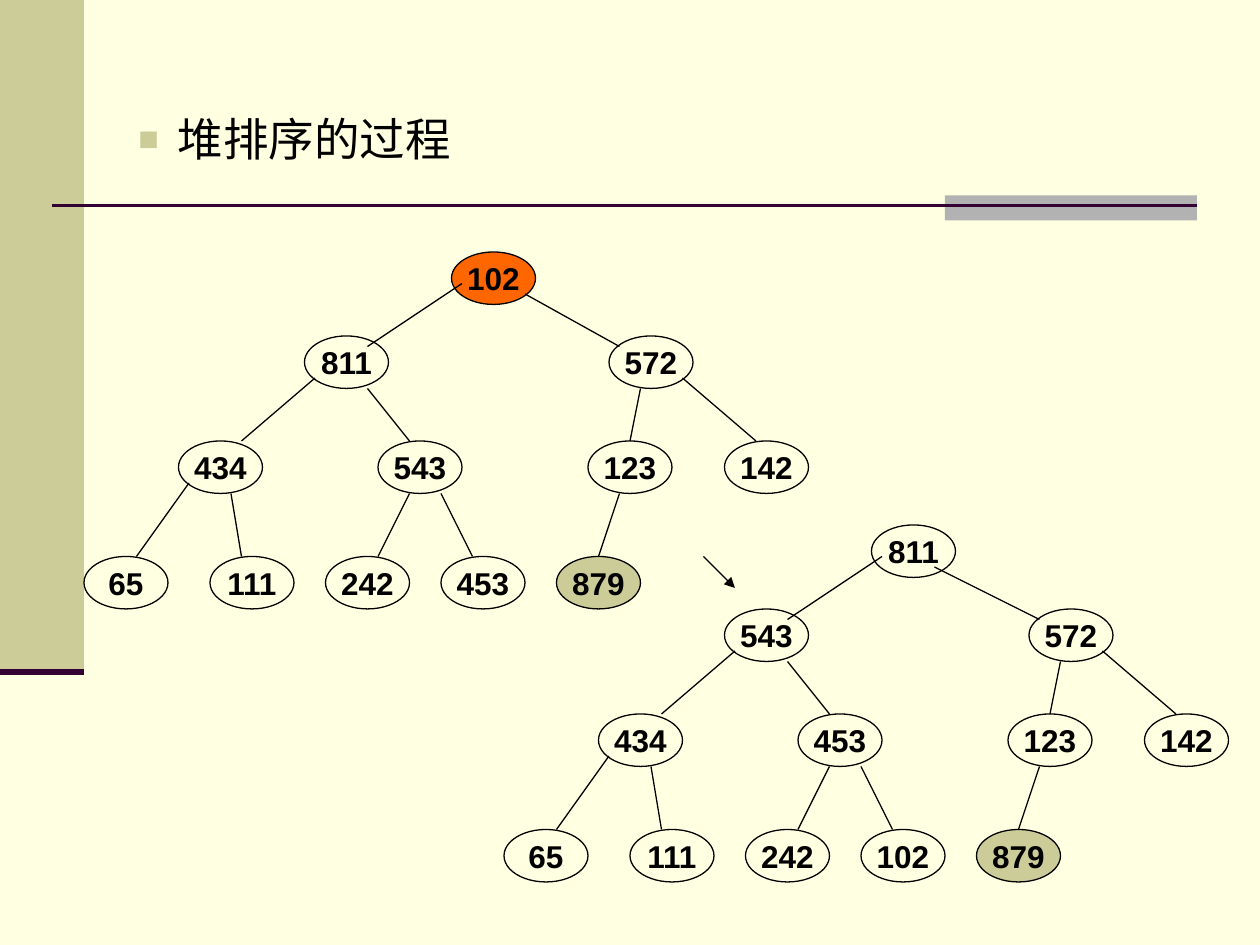
from dataclasses import dataclass

from lxml.etree import SubElement
from pptx import Presentation
from pptx.dml.color import RGBColor
from pptx.enum.shapes import MSO_CONNECTOR, MSO_SHAPE
from pptx.enum.text import MSO_ANCHOR, PP_ALIGN
from pptx.oxml.ns import qn
from pptx.util import Cm, Pt


@dataclass(frozen=True)
class Theme:
    background: str = "FFFFE1"
    olive: str = "CCCC99"
    grey: str = "B2B2B2"
    plum: str = "330033"
    orange: str = "FF6600"
    ink: str = "000000"
    font: str = "Arial"
    heading_size: float = 26
    node_size: float = 18
    thin: float = 0.75
    rule: float = 1.5
    thick: float = 3.5


def grid(steps):
    """Everything sits on a grid of twelve steps to 2.54 cm."""
    return Cm(steps * 2.54 / 12)


class SlideBuilder:
    def __init__(self, slide, theme):
        self.slide = slide
        self.theme = theme
        slide.background.fill.solid()
        slide.background.fill.fore_color.rgb = RGBColor.from_string(theme.background)

    def style_text(self, paragraph, size, bold=False):
        font = paragraph.runs[0].font
        font.name, font.size, font.bold = self.theme.font, Pt(size), bold
        font.color.rgb = RGBColor.from_string(self.theme.ink)

    def shape(self, kind, left, top, width, height, fill):
        shape = self.slide.shapes.add_shape(kind, *map(grid, (left, top, width, height)))
        shape.shadow.inherit = False
        shape.fill.solid()
        shape.fill.fore_color.rgb = RGBColor.from_string(fill)
        shape.line.fill.background()
        return shape

    def line(self, start, end, color=None, width=None, arrow=False):
        line = self.slide.shapes.add_connector(
            MSO_CONNECTOR.STRAIGHT, *map(grid, (*start, *end)))
        line.line.color.rgb = RGBColor.from_string(color or self.theme.ink)
        line.line.width = Pt(width or self.theme.thin)
        properties = line._element.spPr
        if arrow:
            SubElement(properties.find(qn("a:ln")), qn("a:tailEnd"), type="triangle")
        SubElement(properties, qn("a:effectLst"))

    def bullet_text(self, text, left, top, width, height):
        box = self.slide.shapes.add_textbox(*map(grid, (left, top, width, height)))
        box.text_frame.word_wrap = True
        paragraph = box.text_frame.paragraphs[0]
        paragraph.text = text
        properties = paragraph._p.get_or_add_pPr()
        properties.set("marL", str(Cm(2.06)))
        properties.set("indent", str(-Cm(0.79)))
        bullet_color = SubElement(properties, qn("a:buClr"))
        SubElement(bullet_color, qn("a:srgbClr"), val=self.theme.olive)
        SubElement(properties, qn("a:buSzPct"), val="75000")
        SubElement(properties, qn("a:buFont"), typeface=self.theme.font)
        SubElement(properties, qn("a:buChar"), char="■")
        self.style_text(paragraph, self.theme.heading_size)

    def node(self, value, left, top, fill):
        node = self.shape(MSO_SHAPE.OVAL, left, top, 8, 5, fill)
        node.line.color.rgb = RGBColor.from_string(self.theme.ink)
        node.line.width = Pt(self.theme.thin)
        frame = node.text_frame
        frame.word_wrap = False
        frame.vertical_anchor = MSO_ANCHOR.MIDDLE
        paragraph = frame.paragraphs[0]
        paragraph.text = str(value)
        paragraph.alignment = PP_ALIGN.CENTER
        self.style_text(paragraph, self.theme.node_size, bold=True)

    def heap(self, values, highlights, dx=0, dy=0, root_right=50):
        """Draw a heap in level order, moved by (dx, dy) grid steps."""
        for value, (x, y) in zip(values, NODE_PLACES):
            self.node(value, x + dx, y + dy, highlights.get(value, self.theme.background))
        root_edge = ((root_right, 28), (59, 33))
        for (x1, y1), (x2, y2) in (root_edge, *EDGES):
            self.line((x1 + dx, y1 + dy), (x2 + dx, y2 + dy))


# Heap layout in grid steps, level by level
LEVELS = {
    24: (43,),
    32: (29, 58),
    42: (17, 36, 56, 69),
    53: (8, 20, 31, 42, 53),
}
NODE_PLACES = [(x, y) for y, lefts in LEVELS.items() for x in lefts]
EDGES = (
    ((44, 27), (35, 33)),
    ((30, 36), (23, 42)), ((35, 37), (39, 42)),
    ((61, 37), (60, 42)), ((65, 36), (72, 42)),
    ((18, 46), (13, 53)), ((22, 47), (23, 53)),
    ((39, 47), (36, 53)), ((42, 47), (45, 53)),
    ((59, 47), (57, 53)),
)


def main():
    presentation = Presentation()
    presentation.slide_width, presentation.slide_height = Cm(25.4), Cm(19.05)
    theme = Theme()
    builder = SlideBuilder(
        presentation.slides.add_slide(presentation.slide_layouts[6]), theme)

    # Frame decoration
    builder.shape(MSO_SHAPE.RECTANGLE, 0, 0, 8, 64, theme.olive)
    builder.shape(MSO_SHAPE.RECTANGLE, 90, 18.6, 24, 2.4, theme.grey)
    builder.line((5, 19.6), (114, 19.6), theme.plum, theme.rule)
    builder.line((0, 64), (8, 64), theme.plum, theme.thick)

    # Heading
    builder.bullet_text("堆排序的过程", 6, 10, 108, 70.4)

    # Heap after the swap, then after sifting down
    builder.heap((102, 811, 572, 434, 543, 123, 142, 65, 111, 242, 453, 879),
                 {102: theme.orange, 879: theme.olive})
    builder.heap((811, 543, 572, 434, 453, 123, 142, 65, 111, 242, 102, 879),
                 {879: theme.olive}, dx=40, dy=26, root_right=49)
    builder.line((67, 53), (70, 56), arrow=True)

    presentation.save("out.pptx")


if __name__ == "__main__":
    main()
